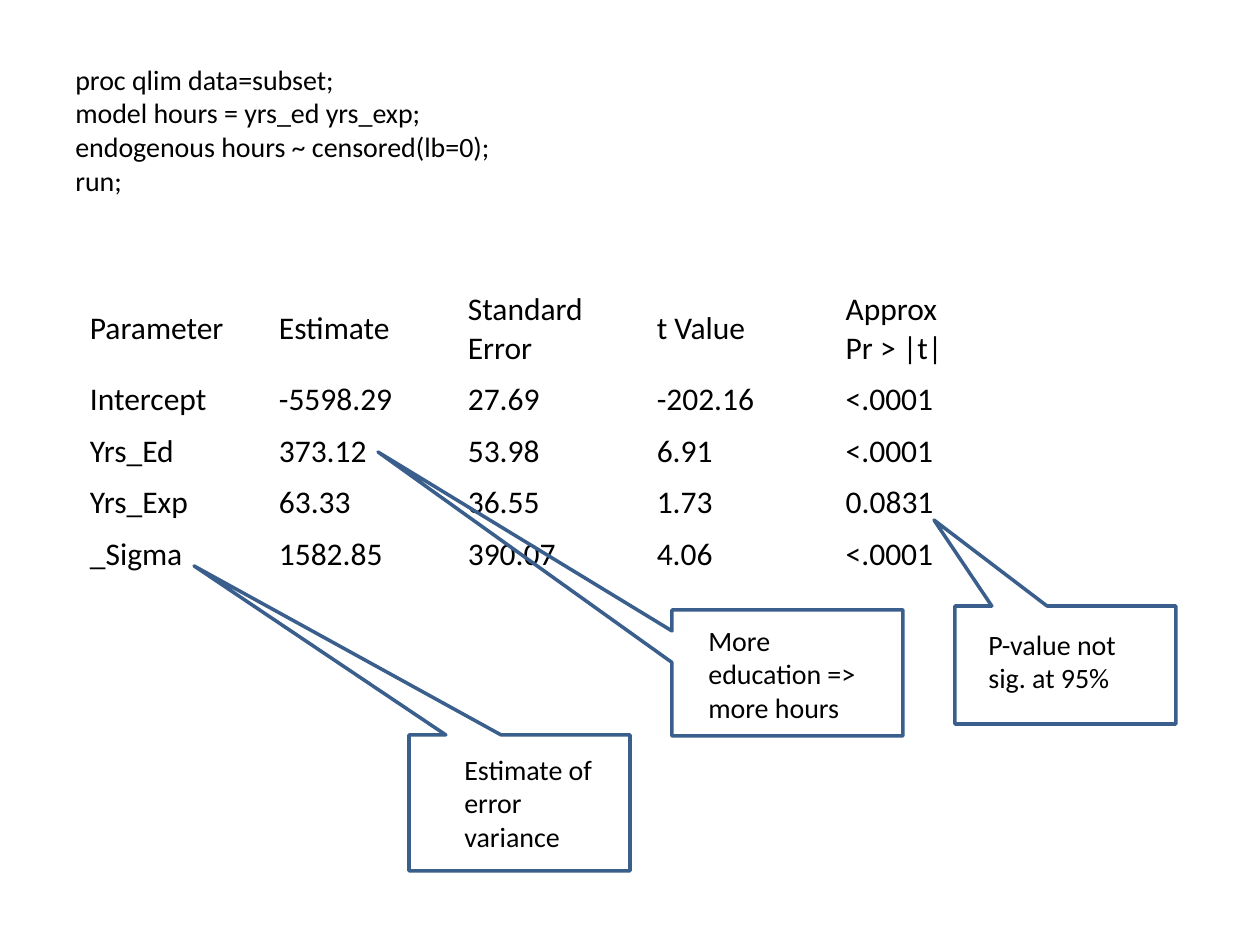
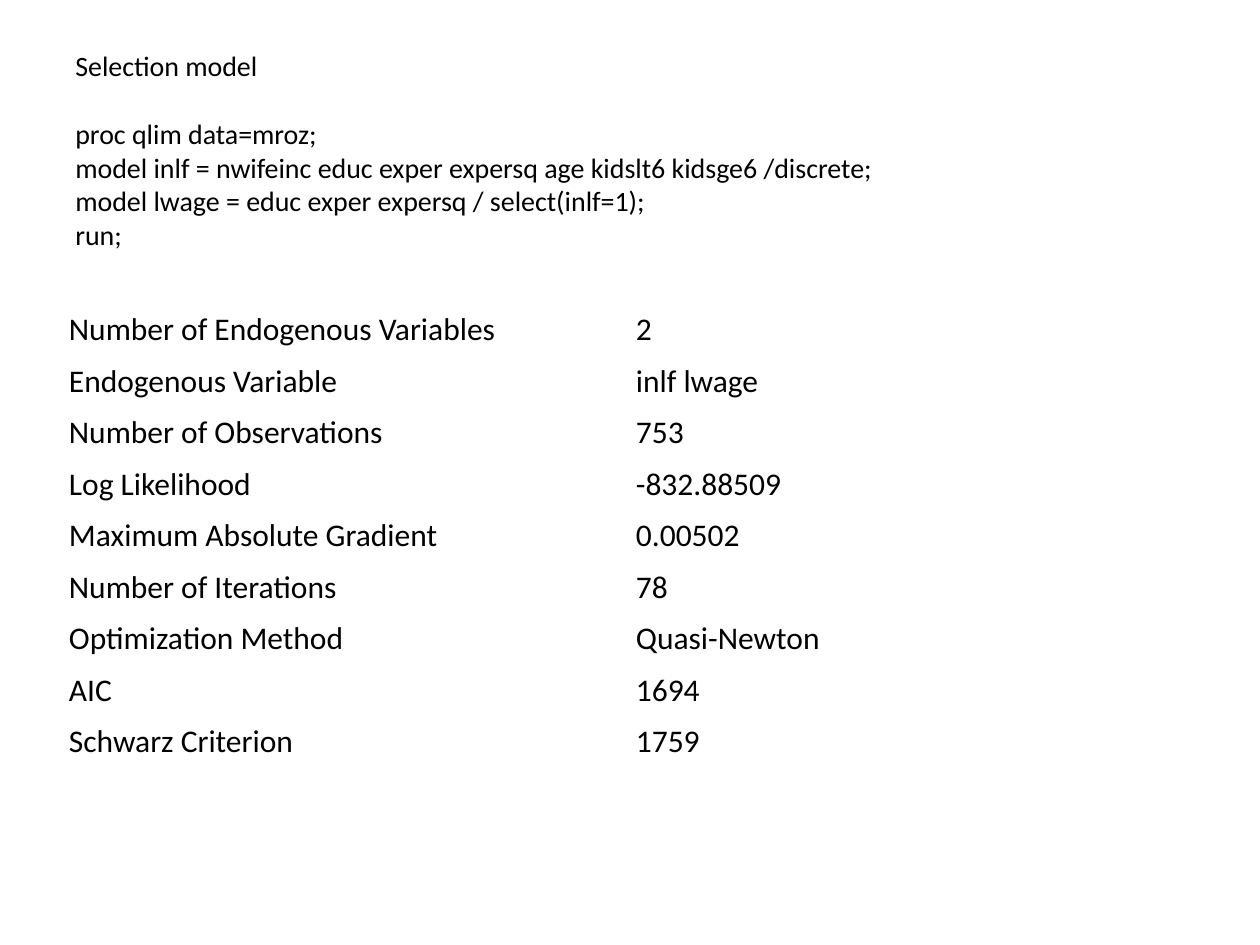
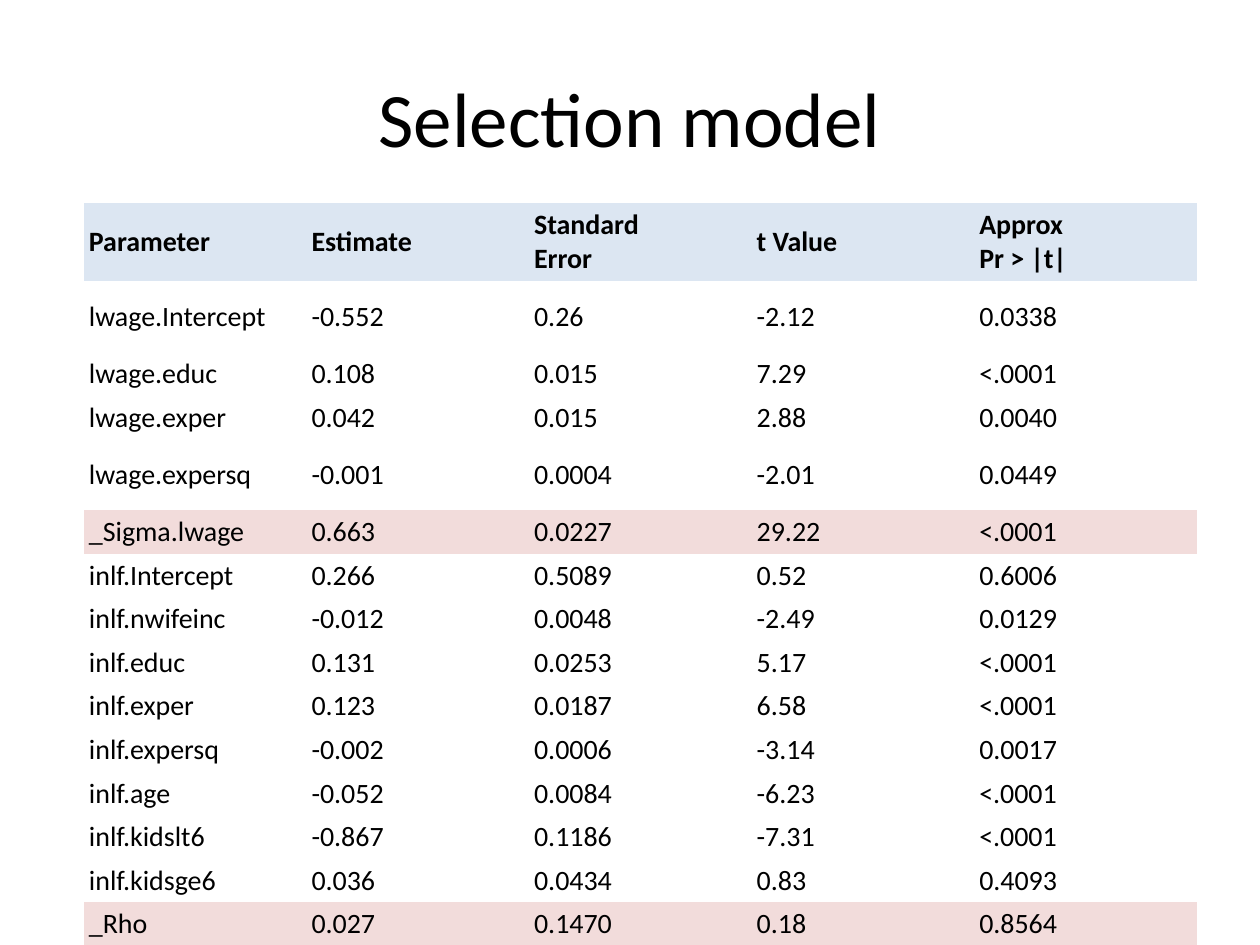
import collections
import dataclasses

import pptx
import pptx.dml.color
import pptx.enum.shapes
import pptx.enum.text
import pptx.oxml.ns
import pptx.util

SCALE = 914400 // 126  # EMU in one pixel
PLAIN_TABLE_STYLE = "{2D5ABB26-0587-4C30-8999-92F81FD0307C}"
ALIGN = pptx.enum.text.PP_ALIGN
ANCHOR = pptx.enum.text.MSO_ANCHOR

Box = collections.namedtuple("Box", "left top width height")


@dataclasses.dataclass(frozen=True)
class Theme:
    font: str = "Calibri"
    ink: str = "000000"
    outline: str = "3A5F8C"
    header_fill: str = "DCE6F2"
    highlight_fill: str = "F2DCDB"
    title_size: int = 44
    table_size: int = 18
    body_size: int = 16
    outline_width: int = 2


THEME = Theme()


def px(length):
    return pptx.util.Emu(round(length * SCALE))


def emu(box):
    return [px(length) for length in box]


def rgb(value):
    return pptx.dml.color.RGBColor.from_string(value)


def apply_format(target, values):
    for name, value in values.items():
        setattr(target, name, value)


def write(frame, text, size, bold=False, align=ALIGN.LEFT):
    """Fill a text frame, one paragraph for each line of text."""
    frame.text = text
    for para in frame.paragraphs:
        para.alignment = align
        for span in para.runs:
            apply_format(span.font, {"name": THEME.font, "size": pptx.util.Pt(size), "bold": bold})
            span.font.color.rgb = rgb(THEME.ink)


def add_text(page, box, text, size, anchor=ANCHOR.TOP, align=ALIGN.LEFT):
    frame = page.shapes.add_textbox(*emu(box)).text_frame
    apply_format(frame, {"word_wrap": True, "vertical_anchor": anchor})
    write(frame, text, size, align=align)
    return frame


def add_title(page, height, text, size=THEME.body_size, align=ALIGN.LEFT):
    """Top region of every slide: a code listing or a large heading."""
    return add_text(page, Box(63, 38, 1134, height), text, size, ANCHOR.MIDDLE, align)


def add_table(page, box, rows, size, margin, fixed_heights=None, fills=None, bold_rows=()):
    """Plain table; rows without a fixed height share what is left of the box."""
    fixed_heights, fills = fixed_heights or {}, fills or {}
    table = page.shapes.add_table(len(rows), len(rows[0]), *emu(box)).table
    apply_format(table, {"first_row": False, "horz_banding": False})
    properties = table._tbl.tblPr
    properties.find(pptx.oxml.ns.qn("a:tableStyleId")).text = PLAIN_TABLE_STYLE

    for column in table.columns:
        column.width = px(box.width / len(rows[0]))
    shared = (box.height - sum(fixed_heights.values())) / (len(rows) - len(fixed_heights))
    sides = ("margin_left", "margin_top", "margin_right", "margin_bottom")
    cell_format = dict.fromkeys(sides, px(margin)) | {"vertical_anchor": ANCHOR.MIDDLE}

    for r, values in enumerate(rows):
        table.rows[r].height = px(fixed_heights.get(r, shared))
        for c, value in enumerate(values):
            cell = table.cell(r, c)
            apply_format(cell, cell_format)
            if r in fills:
                cell.fill.solid()
                cell.fill.fore_color.rgb = rgb(fills[r])
            else:
                cell.fill.background()
            write(cell.text_frame, value, size, bold=r in bold_rows)


def add_callout(page, box, tip, label, text):
    """Outlined callout pointing at tip; label is placed relative to box."""
    kind = pptx.enum.shapes.MSO_SHAPE.RECTANGULAR_CALLOUT
    callout = page.shapes.add_shape(kind, *emu(box))
    callout.shadow.inherit = False
    callout.fill.background()
    callout.line.color.rgb = rgb(THEME.outline)
    callout.line.width = pptx.util.Pt(THEME.outline_width)
    callout.adjustments[0] = (tip[0] - box.left) / box.width - 0.5
    callout.adjustments[1] = (tip[1] - box.top) / box.height - 0.5

    label_box = label._replace(left=box.left + label.left, top=box.top + label.top)
    frame = add_text(page, label_box, text, THEME.body_size)
    frame.auto_size = pptx.enum.text.MSO_AUTO_SIZE.SHAPE_TO_FIT_TEXT


ESTIMATE_HEADER = ("Parameter", "Estimate", "Standard\nError", "t\u00a0Value", "Approx\nPr > |t|")

CENSORED_CODE = """proc qlim data=subset;
model hours = yrs_ed yrs_exp;
endogenous hours ~ censored(lb=0);
run;"""

CENSORED_ESTIMATES = [
    ESTIMATE_HEADER,
    ("Intercept", "-5598.29", "27.69", "-202.16", "<.0001"),
    ("Yrs_Ed", "373.12", "53.98", "6.91", "<.0001"),
    ("Yrs_Exp", "63.33", "36.55", "1.73", "0.0831"),
    ("_Sigma", "1582.85", "390.07", "4.06", "<.0001"),
]

# box, tip, label box inside the callout, text
CALLOUTS = [
    (Box(409, 735, 221, 136), (194, 566), Box(43, 11, 179, 115), "Estimate of error variance"),
    (Box(955, 606, 221, 118), (934, 520), Box(21, 15, 179, 81), "P-value not sig. at 95%"),
    (Box(672, 610, 231, 126), (378, 452), Box(24, 7, 183, 115), "More education => more hours"),
]

SELECTION_CODE = """Selection model
proc qlim data=mroz;
model inlf = nwifeinc educ exper expersq age kidslt6 kidsge6 /discrete;
model lwage = educ exper expersq / select(inlf=1);
run;"""

FIT_SUMMARY = [
    ("Number of Endogenous Variables", "2"),
    ("Endogenous Variable", "inlf lwage"),
    ("Number of Observations", "753"),
    ("Log Likelihood", "-832.88509"),
    ("Maximum Absolute Gradient", "0.00502"),
    ("Number of Iterations", "78"),
    ("Optimization Method", "Quasi-Newton"),
    ("AIC", "1694"),
    ("Schwarz Criterion", "1759"),
]

SELECTION_ESTIMATES = [
    ESTIMATE_HEADER,
    ("lwage.Intercept", "-0.552", "0.26", "-2.12", "0.0338"),
    ("lwage.educ", "0.108", "0.015", "7.29", "<.0001"),
    ("lwage.exper", "0.042", "0.015", "2.88", "0.0040"),
    ("lwage.expersq", "-0.001", "0.0004", "-2.01", "0.0449"),
    ("_Sigma.lwage", "0.663", "0.0227", "29.22", "<.0001"),
    ("inlf.Intercept", "0.266", "0.5089", "0.52", "0.6006"),
    ("inlf.nwifeinc", "-0.012", "0.0048", "-2.49", "0.0129"),
    ("inlf.educ", "0.131", "0.0253", "5.17", "<.0001"),
    ("inlf.exper", "0.123", "0.0187", "6.58", "<.0001"),
    ("inlf.expersq", "-0.002", "0.0006", "-3.14", "0.0017"),
    ("inlf.age", "-0.052", "0.0084", "-6.23", "<.0001"),
    ("inlf.kidslt6", "-0.867", "0.1186", "-7.31", "<.0001"),
    ("inlf.kidsge6", "0.036", "0.0434", "0.83", "0.4093"),
    ("_Rho", "0.027", "0.1470", "0.18", "0.8564"),
]


def build_censored_slide(page):
    add_title(page, 183, CENSORED_CODE)
    add_table(page, Box(84, 284, 945, 296), CENSORED_ESTIMATES, THEME.table_size, 6,
              fixed_heights={0: 90})
    for callout in CALLOUTS:
        add_callout(page, *callout)


def build_summary_slide(page):
    listing = add_title(page, 224, SELECTION_CODE)
    # One line of space between the heading and the code
    listing.paragraphs[0].space_after = pptx.util.Pt(19.5)
    add_table(page, Box(63, 304, 1134, 464), FIT_SUMMARY, THEME.table_size, 6)


def build_estimates_slide(page):
    add_title(page, 158, "Selection model", THEME.title_size, ALIGN.CENTER)
    # Rows that report a variance or correlation are highlighted
    fills = {r: THEME.highlight_fill
             for r, row in enumerate(SELECTION_ESTIMATES) if row[0].startswith("_")}
    fills[0] = THEME.header_fill
    add_table(page, Box(84, 203, 1113, 743), SELECTION_ESTIMATES, THEME.body_size, 5,
              fixed_heights={0: 78, 1: 71, 4: 71}, fills=fills, bold_rows=(0,))


deck = pptx.Presentation()
deck.slide_width, deck.slide_height = px(1260), px(945)
blank_layout = deck.slide_layouts[6]
for build in (build_censored_slide, build_summary_slide, build_estimates_slide):
    build(deck.slides.add_slide(blank_layout))
deck.save("out.pptx")
